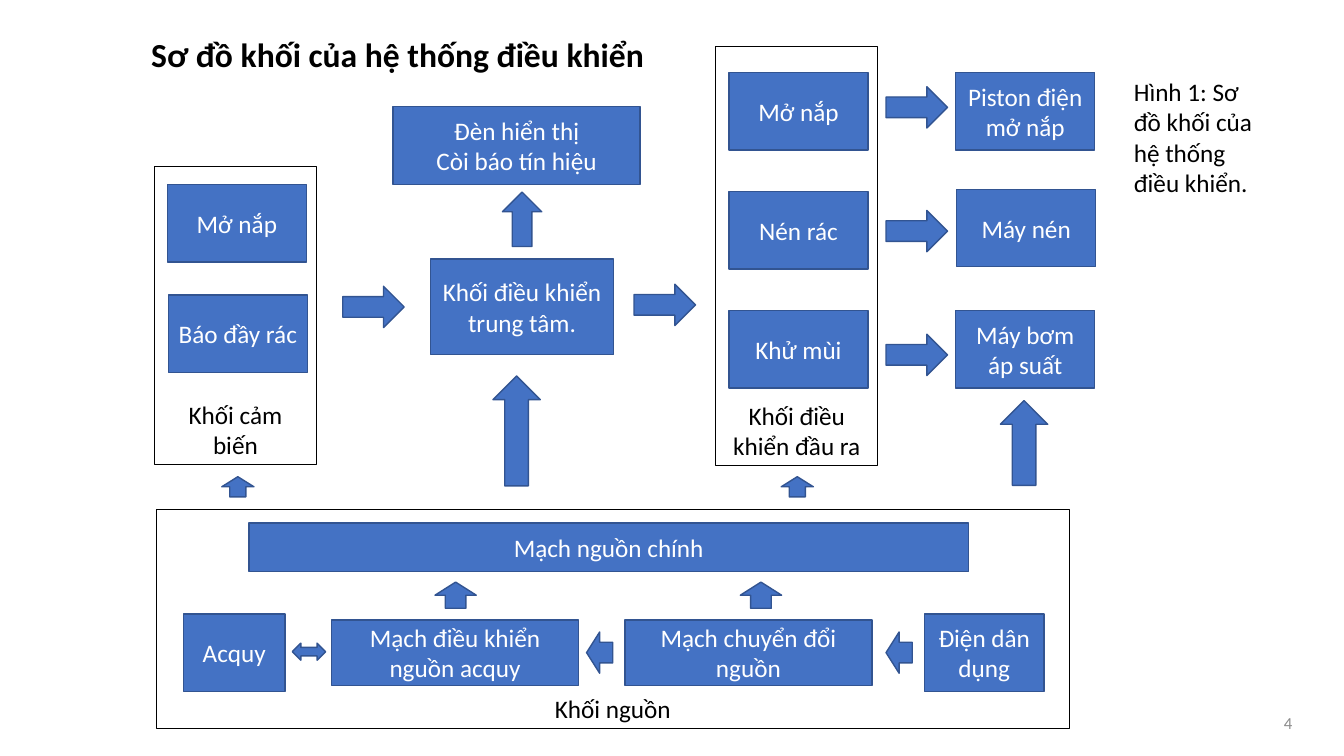
from pptx import Presentation
from pptx.dml.color import RGBColor
from pptx.enum.shapes import MSO_SHAPE
from pptx.enum.text import MSO_ANCHOR, MSO_AUTO_SIZE, PP_ALIGN
from pptx.util import Pt

BLUE = RGBColor(0x44, 0x72, 0xC4)
DARK_BLUE = RGBColor(0x32, 0x54, 0x91)
BLACK = RGBColor(0, 0, 0)
WHITE = RGBColor(0xFF, 0xFF, 0xFF)
GRAY = RGBColor(0x8C, 0x8C, 0x8C)
RECTANGLE = MSO_SHAPE.RECTANGLE
ARROW = MSO_SHAPE.RIGHT_ARROW
DOUBLE_ARROW = MSO_SHAPE.LEFT_RIGHT_ARROW
TOP, MIDDLE, BOTTOM = MSO_ANCHOR.TOP, MSO_ANCHOR.MIDDLE, MSO_ANCHOR.BOTTOM
LEFT, CENTER, RIGHT = PP_ALIGN.LEFT, PP_ALIGN.CENTER, PP_ALIGN.RIGHT
UP, BACK = 270, 180


def write_text(shape, text, size=18, color=BLACK, bold=False, align=LEFT, anchor=TOP):
    frame = shape.text_frame
    frame.text = text
    frame.word_wrap = True
    frame.auto_size = MSO_AUTO_SIZE.NONE
    frame.vertical_anchor = anchor
    for paragraph in frame.paragraphs:
        paragraph.alignment = align
        font = paragraph.font
        font.name = "Calibri"
        font.size = Pt(size)
        font.bold = bold
        font.color.rgb = color


def add_block(kind, left, top, width, height, fill=BLUE, line=DARK_BLUE, weight=1, rotation=0):
    shape = slide.shapes.add_shape(kind, Pt(left), Pt(top), Pt(width), Pt(height))
    shape.shadow.inherit = False
    shape.rotation = rotation
    if fill is None:
        shape.fill.background()
    else:
        shape.fill.solid()
        shape.fill.fore_color.rgb = fill
    shape.line.color.rgb = line
    shape.line.width = Pt(weight)
    return shape


presentation = Presentation()
presentation.slide_width, presentation.slide_height = Pt(960), Pt(540)
slide = presentation.slides.add_slide(presentation.slide_layouts[5])

# Title
title = slide.shapes.title
title.left, title.top, title.width, title.height = Pt(100.8), Pt(20.9), Pt(480.2), Pt(36)
write_text(title, "Sơ đồ khối của hệ thống điều khiển", size=24, bold=True)

# Outlined groups, labelled at the bottom
groups = [
    ("Khối cảm biến", 110.2, 118.8, 115.9, 213.1),
    ("Khối điều khiển đầu ra", 511.2, 33.1, 115.9, 299.5),
    ("Khối nguồn", 111.6, 363.6, 652.3, 157),
]
for label, *bounds in groups:
    group = add_block(RECTANGLE, *bounds, fill=None, line=BLACK, weight=0.75)
    write_text(group, label, align=CENTER, anchor=BOTTOM)

# Filled blocks
UNIT = (99.4, 55.4)
CIRCUIT = (176.4, 46.8)
blocks = [
    ("Khối điều khiển trung tâm.", 307.4, 185, 131, 68.4),
    ("Đèn hiển thị\nCòi báo tín hiệu", 280.8, 76.3, 176.4, 55.4),
    ("Mở nắp", 119.5, 131.8, *UNIT),
    ("Báo đầy rác", 120.2, 210.6, *UNIT),
    ("Piston điện mở nắp", 682.6, 51.8, *UNIT),
    ("Máy nén", 683.3, 135.2, *UNIT),
    ("Máy bơm áp suất", 682.6, 221.8, *UNIT),
    ("Mạch nguồn chính", 177.8, 373.7, 514.1, 34.6),
    ("Acquy", 131, 438.5, 72.7, 55.4),
    ("Mạch điều khiển nguồn acquy", 236.9, 442.8, *CIRCUIT),
    ("Mạch chuyển đổi nguồn", 446.4, 442.8, *CIRCUIT),
    ("Điện dân dụng", 660.2, 438.5, 85.7, 55.4),
]
for row, label in enumerate(["Mở nắp", "Nén rác", "Khử mùi"]):
    blocks.append((label, 520.6, 51.8 + 85 * row, *UNIT))
for label, *bounds in blocks:
    write_text(add_block(RECTANGLE, *bounds), label, color=WHITE, align=CENTER, anchor=MIDDLE)

# Arrows to the right
LONG = (43.9, 29.5)
add_block(ARROW, 244.8, 204.5, *LONG)
add_block(ARROW, 452.9, 203, *LONG)
for row in range(3):
    add_block(ARROW, 632.9, 61.9 + 88.4 * row, *LONG)

# Arrows upwards, given as before rotation
up_arrows = [
    (353.5, 142.6, 38.9, 28.1),
    (329.8, 290.9, 78.5, 33.8),
    (701.3, 299.5, 60.5, 33.8),
    (162.7, 336.2, 14.4, 23),
    (562.3, 336.2, 14.4, 23),
    (316.1, 410.4, 18.7, 29.5),
    (534.2, 410.4, 18.7, 29.5),
]
for bounds in up_arrows:
    add_block(ARROW, *bounds, rotation=UP)

# Arrows between the power blocks
for left in (419, 632.9):
    add_block(ARROW, left, 451.4, 18.7, 29.5, rotation=BACK)
add_block(DOUBLE_ARROW, 208.8, 459.4, 23.8, 12.2)

# Caption and page number
caption = slide.shapes.add_textbox(Pt(802.8), Pt(51.1), Pt(109.4), Pt(94.3))
write_text(caption, "Hình 1: Sơ đồ khối của hệ thống điều khiển.")
page_number = slide.shapes.add_textbox(Pt(714.2), Pt(501.8), Pt(216), Pt(28.8))
write_text(page_number, "4", size=12, color=GRAY, align=RIGHT, anchor=MIDDLE)

presentation.save("out.pptx")
